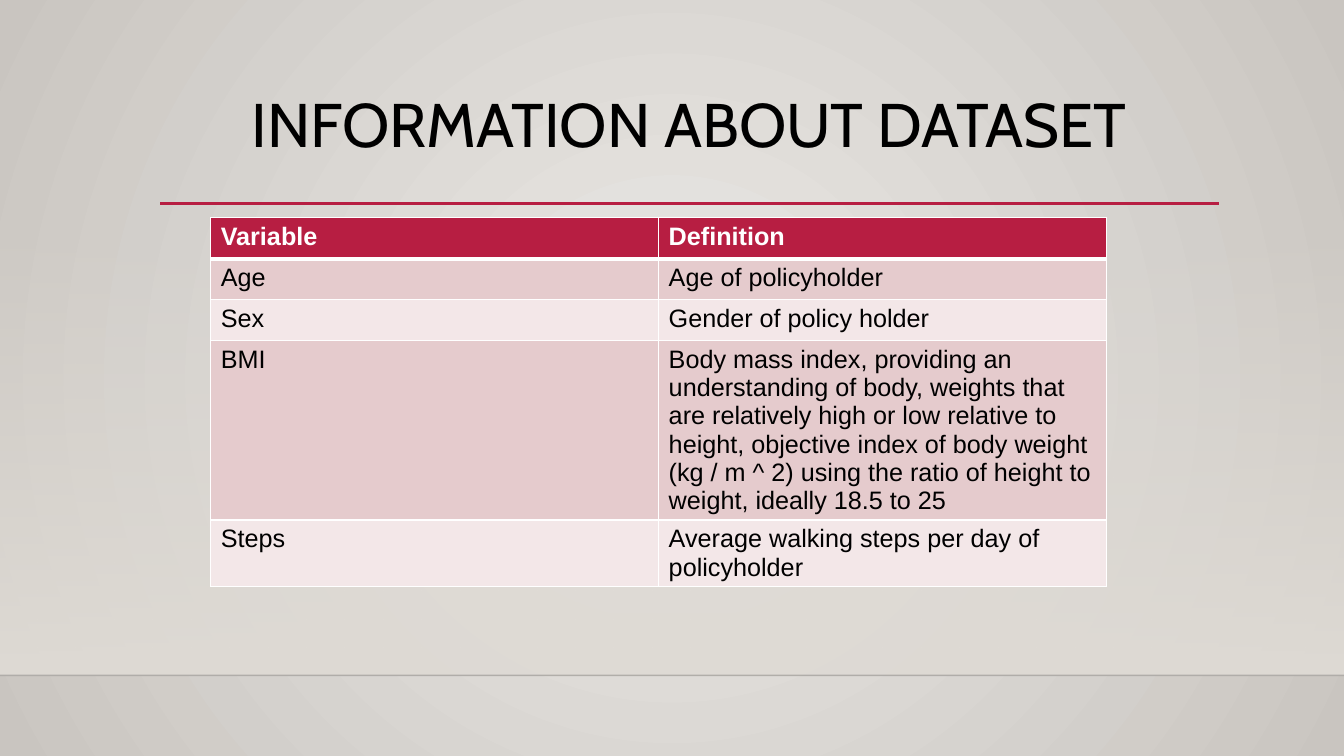
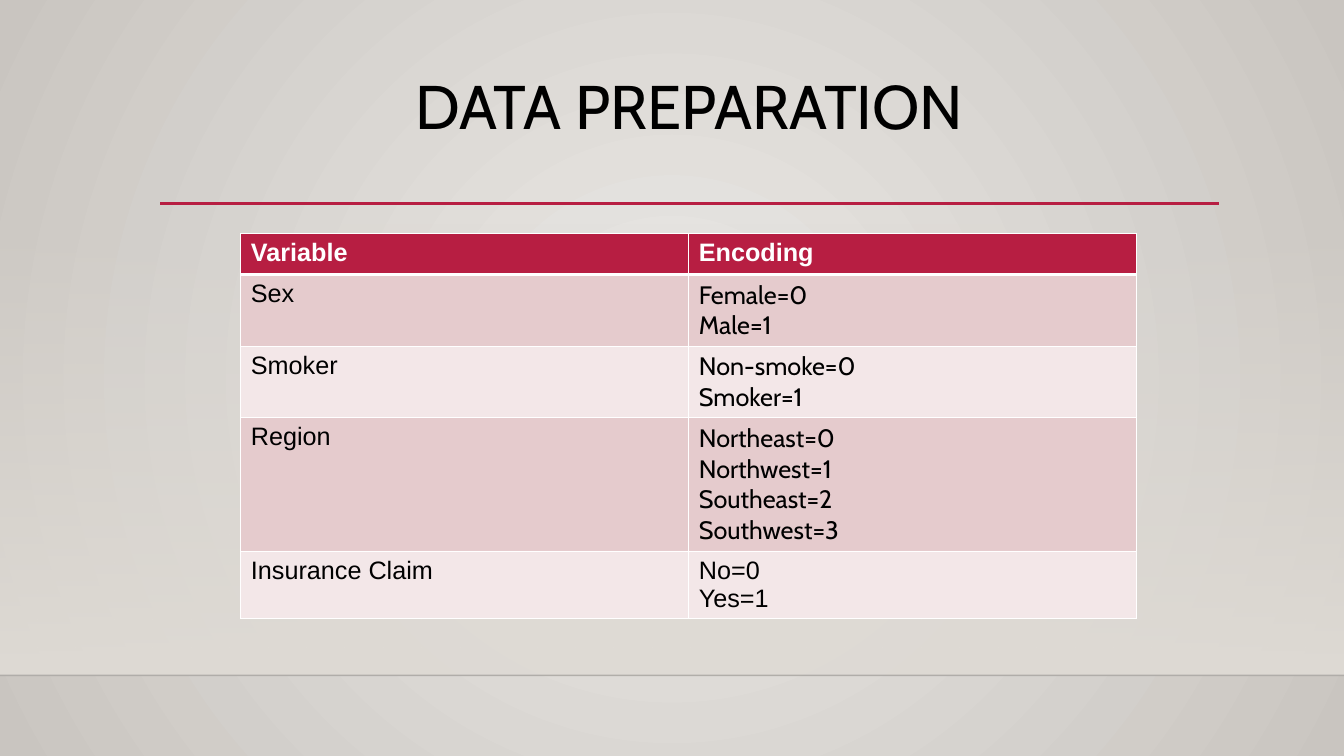
from dataclasses import dataclass

import pptx
import pptx.dml.color
import pptx.enum.shapes
import pptx.enum.text
import pptx.oxml
import pptx.oxml.ns
import pptx.presentation
import pptx.slide
import pptx.table
import pptx.util
from pptx.util import Cm, Pt

COLORS = {
    "center": "EBE9E6",
    "edge": "C9C5C0",
    "wall": "DFDBD5",
    "floor_line": "000001",
    "accent": "B71E42",
    "odd_row": "E5CBCD",
    "even_row": "F3E7E8",
    "light": "FFFFFF",
    "text": "000000",
}
HEADING_FONT, BODY_FONT = "Cabin", "Arial"
WIDTH, HEIGHT = Cm(33.87), Cm(19.05)
FLOOR = Cm(17.02)
TITLE_LEFT, TITLE_WIDTH, TITLE_HEIGHT = Cm(4.04), Cm(26.67), Cm(2.92)
COLUMN_WIDTH = Cm(11.29)
LINE_ROW, TWO_LINE_ROW = Cm(1.03), Cm(1.68)
CODE_ROW = Cm(1.8)
A_NS = pptx.oxml.ns.nsdecls("a")


@dataclass(frozen=True)
class Row:
    variable: str
    meaning: str
    height: pptx.util.Length = LINE_ROW
    meaning_font: str = BODY_FONT


@dataclass(frozen=True)
class TableSlide:
    title: str
    title_top: pptx.util.Length
    table_left: pptx.util.Length
    table_top: pptx.util.Length
    rows: tuple[Row, ...]


SLIDES = (
    TableSlide("INFORMATION ABOUT DATASET", Cm(2.24), Cm(5.31), Cm(5.49), (
        Row("Variable", "Definition"),
        Row("Age", "Age of policyholder"),
        Row("Sex", "Gender of policy holder"),
        Row("BMI", "Body mass index, providing an understanding of body, weights that are "
            "relatively high or low relative to height, objective index of body weight "
            "(kg / m ^ 2) using the ratio of height to weight, ideally 18.5 to 25", Cm(4.5)),
        Row("Steps", "Average walking steps per day of policyholder", TWO_LINE_ROW),
    )),
    TableSlide("DATA PREPARATION", Cm(1.8), Cm(6.07), Cm(5.89), (
        Row("Variable", "Encoding"),
        Row("Sex", "Female=0\nMale=1", CODE_ROW, HEADING_FONT),
        Row("Smoker", "Non-smoke=0\nSmoker=1", CODE_ROW, HEADING_FONT),
        Row("Region", "Northeast=0\nNorthwest=1\nSoutheast=2\nSouthwest=3", Cm(3.37),
            HEADING_FONT),
        Row("Insurance Claim", "No=0\nYes=1", TWO_LINE_ROW),
    )),
)


def rgb(name: str) -> pptx.dml.color.RGBColor:
    return pptx.dml.color.RGBColor.from_string(COLORS[name])


def set_gradient(owner, start: str, end: str, direction: str, start_alpha: int = 100) -> None:
    """Swap the gradient fill inside an element for a two-stop one."""
    old = owner.xpath(".//a:gradFill")[0]
    new = pptx.oxml.parse_xml(
        f'<a:gradFill {A_NS} rotWithShape="1"><a:gsLst>'
        f'<a:gs pos="0"><a:srgbClr val="{COLORS[start]}">'
        f'<a:alpha val="{start_alpha * 1000}"/></a:srgbClr></a:gs>'
        f'<a:gs pos="100000"><a:srgbClr val="{COLORS[end]}"/></a:gs>'
        f'</a:gsLst>{direction}</a:gradFill>')
    old.getparent().replace(old, new)


def set_background(deck: pptx.presentation.Presentation) -> None:
    master = deck.slide_master
    master.background.fill.gradient()
    set_gradient(
        master._element.cSld, "center", "edge",
        '<a:path path="circle"><a:fillToRect l="50000" t="50000" r="50000" b="50000"/></a:path>')


def add_rule(slide: pptx.slide.Slide, left: int, right: int, top: int,
             color: str, weight: float, alpha: int = 100) -> None:
    rule = slide.shapes.add_connector(
        pptx.enum.shapes.MSO_CONNECTOR.STRAIGHT, left, top, right, top)
    rule.line.color.rgb = rgb(color)
    rule.line.width = Pt(weight)
    properties = rule._element.spPr
    properties.append(pptx.oxml.parse_xml(f"<a:effectLst {A_NS}/>"))
    if alpha < 100:
        properties.xpath(".//a:srgbClr")[0].append(
            pptx.oxml.parse_xml(f'<a:alpha {A_NS} val="{alpha * 1000}"/>'))


def add_scenery(slide: pptx.slide.Slide) -> None:
    """Draw the wall, the floor edge and the rule under the title."""
    wall_top = Cm(5.61)
    wall = slide.shapes.add_shape(
        pptx.enum.shapes.MSO_SHAPE.RECTANGLE, 0, wall_top, WIDTH, FLOOR - wall_top)
    wall.shadow.inherit = False
    wall.line.fill.background()
    wall.fill.gradient()
    set_gradient(wall._element.spPr, "wall", "wall", '<a:lin ang="5400000" scaled="0"/>', 0)
    add_rule(slide, 0, WIDTH, FLOOR, "floor_line", 1, 20)
    add_rule(slide, TITLE_LEFT, Cm(30.73), Cm(5.13), "accent", 2.5)


def set_title(slide: pptx.slide.Slide, text: str, top: pptx.util.Length) -> None:
    title = slide.shapes.title
    title.left, title.top, title.width, title.height = TITLE_LEFT, top, TITLE_WIDTH, TITLE_HEIGHT
    frame = title.text_frame
    frame.text = text
    frame.vertical_anchor = pptx.enum.text.MSO_ANCHOR.TOP
    frame.auto_size = pptx.enum.text.MSO_AUTO_SIZE.NONE
    heading = frame.paragraphs[0]
    heading.alignment = pptx.enum.text.PP_ALIGN.CENTER
    heading.line_spacing = 0.9
    heading.font.name = HEADING_FONT
    heading.font.size = Pt(44)
    heading.font.color.rgb = rgb("text")


def set_borders(cell: pptx.table._Cell, is_header: bool) -> None:
    """Rule a cell in white; only the header has a top line, and a thick bottom one."""
    weights = {"L": 1, "R": 1, "T": 1, "B": 3} if is_header else {"L": 1, "R": 1, "B": 1}
    properties = cell._tc.get_or_add_tcPr()
    for index, (side, weight) in enumerate(weights.items()):
        properties.insert(index, pptx.oxml.parse_xml(
            f'<a:ln{side} {A_NS} w="{Pt(weight)}"><a:solidFill>'
            f'<a:srgbClr val="{COLORS["light"]}"/></a:solidFill></a:ln{side}>'))


def fill_cell(cell: pptx.table._Cell, text: str, font: str, row_index: int) -> None:
    is_header = row_index == 0
    cell.text = text
    cell.fill.solid()
    cell.fill.fore_color.rgb = rgb(
        "accent" if is_header else "odd_row" if row_index % 2 else "even_row")
    set_borders(cell, is_header)
    for line in cell.text_frame.paragraphs:
        line.font.name = font
        line.font.size = Pt(18)
        line.font.bold = is_header
        line.font.color.rgb = rgb("light" if is_header else "text")


def add_variables(slide: pptx.slide.Slide, content: TableSlide) -> None:
    variables = slide.shapes.add_table(
        len(content.rows), 2, content.table_left, content.table_top,
        2 * COLUMN_WIDTH, sum(row.height for row in content.rows)).table
    variables.horz_banding = False
    for column in variables.columns:
        column.width = COLUMN_WIDTH
    for index, row in enumerate(content.rows):
        variables.rows[index].height = row.height
        fill_cell(variables.cell(index, 0), row.variable, BODY_FONT, index)
        fill_cell(variables.cell(index, 1), row.meaning, row.meaning_font, index)


def main() -> None:
    deck = pptx.Presentation()
    deck.slide_width, deck.slide_height = WIDTH, HEIGHT
    set_background(deck)
    for content in SLIDES:
        slide = deck.slides.add_slide(deck.slide_layouts.get_by_name("Title Only"))
        add_scenery(slide)
        set_title(slide, content.title, content.title_top)
        add_variables(slide, content)
    deck.save("out.pptx")


if __name__ == "__main__":
    main()
